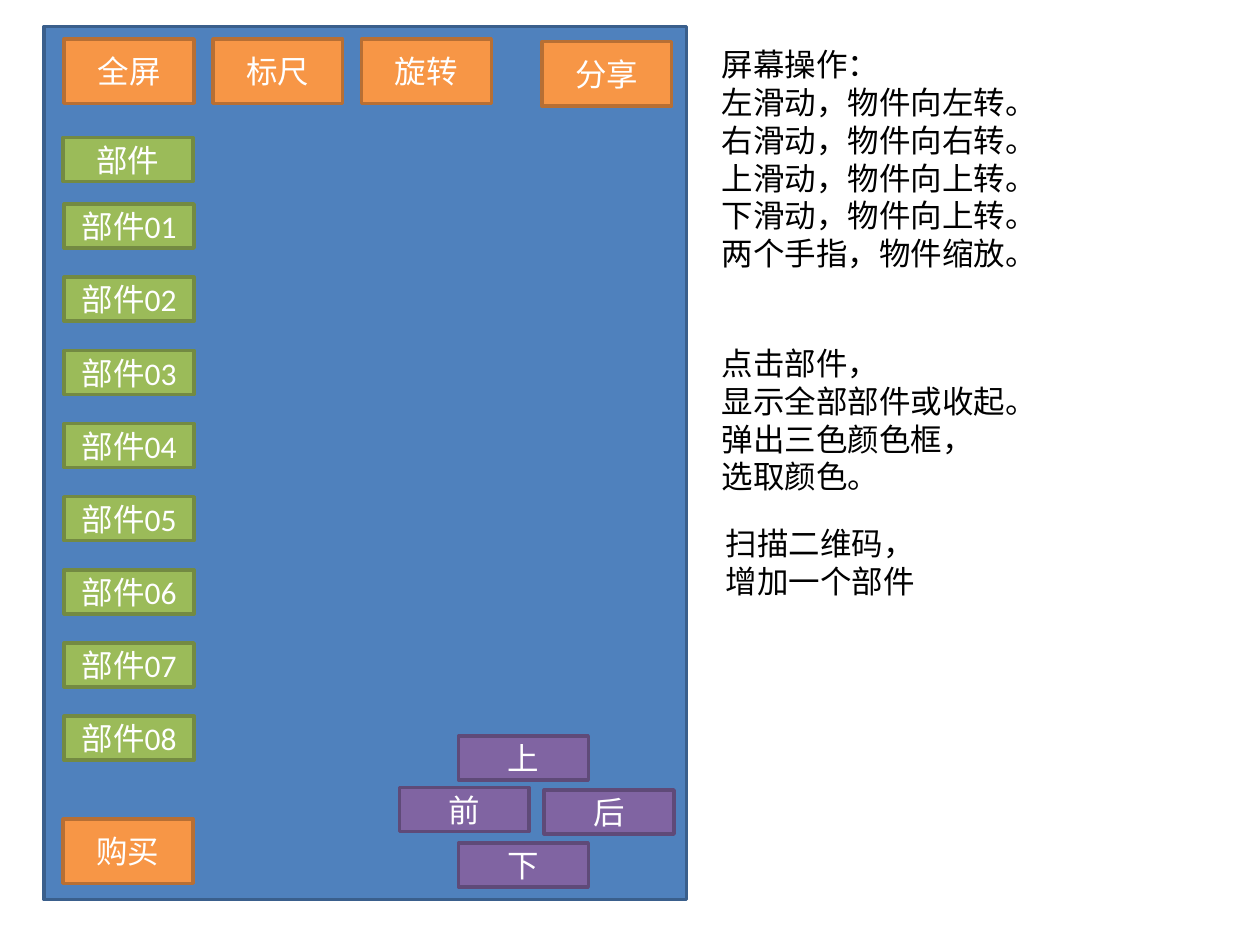
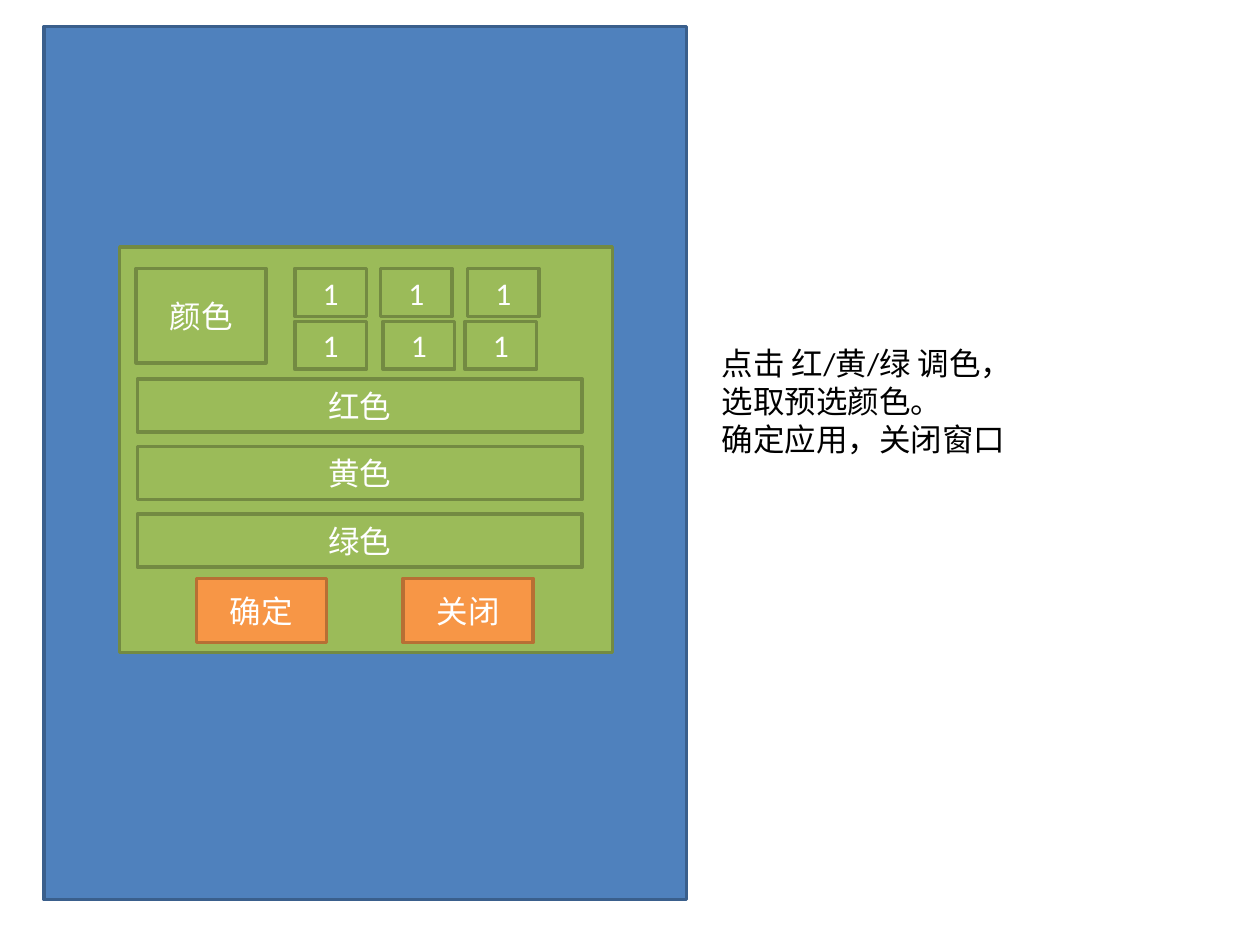
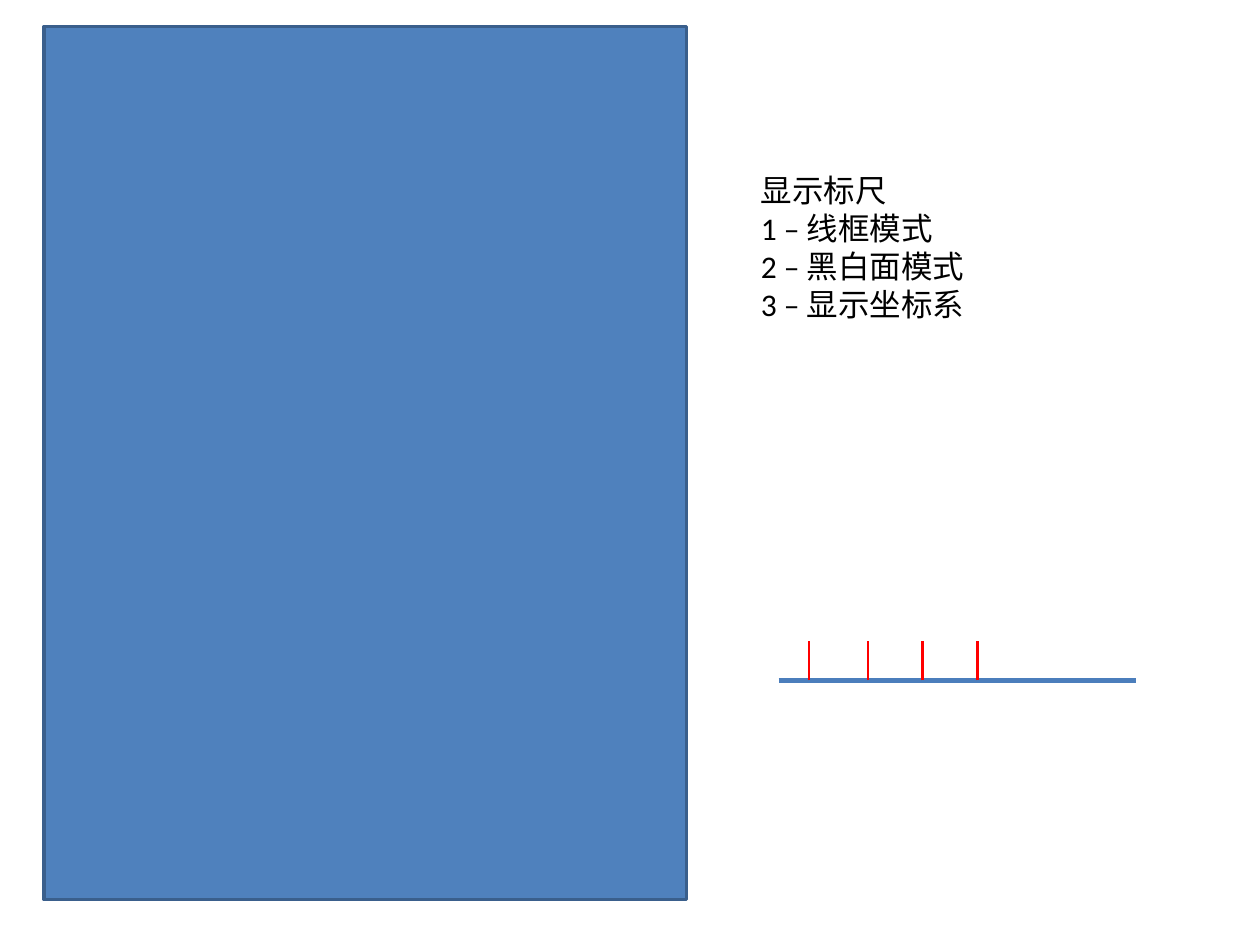
from pptx import Presentation
from pptx.dml.color import RGBColor
from pptx.enum.shapes import MSO_CONNECTOR, MSO_SHAPE
from pptx.enum.text import MSO_ANCHOR, MSO_AUTO_SIZE, PP_ALIGN
from pptx.oxml.ns import qn
from pptx.util import Pt
from lxml import etree

RECT = MSO_SHAPE.RECTANGLE
STRAIGHT = MSO_CONNECTOR.STRAIGHT
MIDDLE = MSO_ANCHOR.MIDDLE
GROW = MSO_AUTO_SIZE.SHAPE_TO_FIT_TEXT
CENTER = PP_ALIGN.CENTER

COLORS = {
    "blue": "4F81BD", "blue edge": "3A5F8C",
    "green": "9BBB59", "green edge": "738A42",
    "orange": "F79646", "orange edge": "B76F34",
    "purple": "8064A2", "purple edge": "5F4A78",
    "white": "FFFFFF", "black": "000000",
    "ruler": "4B7EBC", "tick": "FF0000",
}
FONT, SIZE = "Calibri", 18
WIDE, LOW, TALL = 74.2, 25.2, 36.8  # button width, two button heights
LEFT, NOTE = 36.7, 405.4  # left edges of the button column and the notes


def add_box(slide, x, y, w, h, color, label=""):
    box = slide.shapes.add_shape(RECT, Pt(x), Pt(y), Pt(w), Pt(h))
    box.shadow.inherit = False
    box.fill.solid()
    box.fill.fore_color.rgb = RGBColor.from_string(COLORS[color])
    box.line.color.rgb = RGBColor.from_string(COLORS[color + " edge"])
    box.line.width = Pt(2)
    if label:
        frame = box.text_frame
        frame.vertical_anchor = MIDDLE
        para = frame.paragraphs[0]
        para.text = label
        para.alignment = CENTER
        para.font.name, para.font.size = FONT, Pt(SIZE)
        para.font.color.rgb = RGBColor.from_string(COLORS["white"])


def add_note(slide, x, y, w, h, lines):
    frame = slide.shapes.add_textbox(Pt(x), Pt(y), Pt(w), Pt(h)).text_frame
    frame.word_wrap = True
    frame.auto_size = GROW
    for i, line in enumerate(lines):
        para = frame.add_paragraph() if i else frame.paragraphs[0]
        para.text = line
        para.font.name, para.font.size = FONT, Pt(SIZE)
        para.font.color.rgb = RGBColor.from_string(COLORS["black"])


deck = Presentation()
deck.slide_width, deck.slide_height = Pt(720), Pt(540)

# Every slide starts with the blue screen
slides = []
for _ in range(3):
    slide = deck.slides.add_slide(deck.slide_layouts[6])
    add_box(slide, 25.2, 15.1, 367.2, 499, "blue")
    slides.append(slide)
main, picker, ruler = slides

# Main screen: part list
add_box(main, 36, 78.5, WIDE, LOW, "green", "部件")
for i in range(8):
    add_box(main, LEFT, 116.6 + 41.8 * i, WIDE, LOW, "green", f"部件{i + 1:02}")

# Main screen: tools and purchase
for x, y, label in [(LEFT, 22.3, "全屏"), (121.7, 22.3, "标尺"),
                    (206.6, 22.3, "旋转"), (309.6, 23.8, "分享"),
                    (36, 468, "购买")]:
    add_box(main, x, y, WIDE, TALL, "orange", label)

# Main screen: direction pad
for x, y, label in [(262, 420.5, "上"), (228.2, 450, "前"),
                    (311, 451.4, "后"), (262, 481.7, "下")]:
    add_box(main, x, y, WIDE, LOW, "purple", label)

# Main screen: notes
add_note(main, NOTE, 22.3, 289.4, 138.2, [
    "屏幕操作：", "左滑动，物件向左转。", "右滑动，物件向右转。",
    "上滑动，物件向上转。", "下滑动，物件向上转。", "两个手指，物件缩放。"])
add_note(main, NOTE, 193, 244, 94.3, [
    "点击部件，", "显示全部部件或收起。", "弹出三色颜色框，", "选取颜色。"])
add_note(main, 407.5, 295.9, 215.3, 51.1, ["扫描二维码，", "增加一个部件"])

# Colour picker: window, swatch and presets
add_box(picker, 68.4, 141.1, 281.5, 231.8, "green")
add_box(picker, 77.8, 153.4, WIDE, 54, "green", "颜色")
for y, row in [(153.4, (168.5, 217.4, 267.1)), (183.6, (168.5, 218.9, 265.7))]:
    for x in row:
        add_box(picker, x, y, 41, 27.4, "green", "1")

# Colour picker: channel bars and buttons
for i, label in enumerate(["红色", "黄色", "绿色"]):
    add_box(picker, 78.5, 216.6 + 38.6 * i, 254.2, 30.2, "green", label)
for x, label in [(112.3, "确定"), (230.4, "关闭")]:
    add_box(picker, x, 330.5, WIDE, TALL, "orange", label)
add_note(picker, NOTE, 193, 244, 72.7, [
    "点击 红/黄/绿 调色，", "选取预选颜色。", "确定应用，关闭窗口"])

# Ruler: note, base line and ticks
add_note(ruler, 427.7, 94.3, 244, 94.3, [
    "显示标尺", "1 – 线框模式", "2 – 黑白面模式", "3 – 显示坐标系"])
base = 388.8
marks = [(445, 649.4, base, "ruler", 3)]
marks += [(x, x, 366.5, "tick", 1.5) for x in (462.2, 496.1, 527, 558.7)]
for start, end, top, color, width in marks:
    line = ruler.shapes.add_connector(STRAIGHT, Pt(start), Pt(base), Pt(end), Pt(top))
    line.line.color.rgb = RGBColor.from_string(COLORS[color])
    line.line.width = Pt(width)
    etree.SubElement(line._element.spPr, qn("a:effectLst"))

deck.save("out.pptx")
